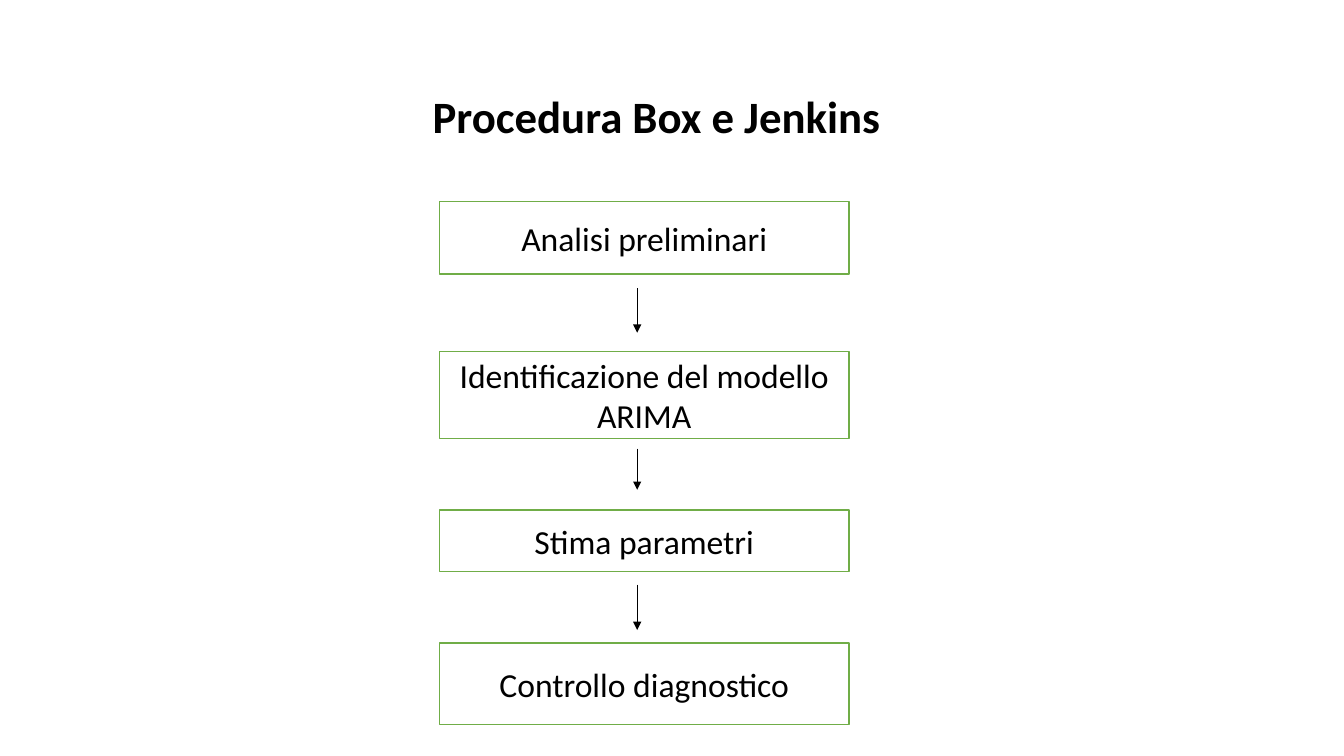
from dataclasses import dataclass

from lxml.etree import SubElement
from pptx import Presentation
from pptx.dml.color import RGBColor
from pptx.enum.shapes import MSO_CONNECTOR, MSO_SHAPE
from pptx.enum.text import MSO_ANCHOR, MSO_AUTO_SIZE, PP_ALIGN
from pptx.oxml.ns import qn
from pptx.slide import Slide
from pptx.util import Inches, Pt

BLACK = RGBColor(0x00, 0x00, 0x00)
WHITE = RGBColor(0xFF, 0xFF, 0xFF)
GREEN = RGBColor(0x70, 0xAD, 0x47)
FONT = "Calibri"

STEP_LEFT = 4.36
STEP_WIDTH = 4.06
ARROW_X = 6.32


@dataclass(frozen=True)
class Step:
    label: str
    top: float
    height: float


@dataclass(frozen=True)
class Arrow:
    start: float
    end: float


STEPS = [
    Step("Analisi preliminari", 2.0, 0.72),
    Step("Identificazione del modello ARIMA", 3.49, 0.86),
    Step("Stima parametri", 5.06, 0.61),
    Step("Controllo diagnostico", 6.38, 0.81),
]
ARROWS = [Arrow(2.86, 3.3), Arrow(4.45, 4.86), Arrow(5.8, 6.25)]


def format_title(slide: Slide, text: str) -> None:
    title = slide.shapes.title
    title.left, title.top = Inches(4.19), Inches(0.83)
    title.width, title.height = Inches(4.7), Inches(0.64)
    frame = title.text_frame
    frame.text = text
    frame.word_wrap = True
    frame.auto_size = MSO_AUTO_SIZE.SHAPE_TO_FIT_TEXT
    frame.vertical_anchor = MSO_ANCHOR.TOP
    heading = frame.paragraphs[0]
    heading.alignment = PP_ALIGN.LEFT
    heading.font.name = FONT
    heading.font.size = Pt(32)
    heading.font.bold = True
    heading.font.color.rgb = BLACK


def draw_step(slide: Slide, step: Step) -> None:
    box = slide.shapes.add_shape(
        MSO_SHAPE.RECTANGLE,
        Inches(STEP_LEFT), Inches(step.top),
        Inches(STEP_WIDTH), Inches(step.height),
    )
    box.shadow.inherit = False
    box.fill.solid()
    box.fill.fore_color.rgb = WHITE
    box.line.color.rgb = GREEN
    box.line.width = Pt(1)
    frame = box.text_frame
    frame.text = step.label
    frame.word_wrap = True
    frame.vertical_anchor = MSO_ANCHOR.MIDDLE
    label = frame.paragraphs[0]
    label.alignment = PP_ALIGN.CENTER
    label.font.name = FONT
    label.font.size = Pt(24)
    label.font.color.rgb = BLACK


def draw_arrow(slide: Slide, arrow: Arrow) -> None:
    connector = slide.shapes.add_connector(
        MSO_CONNECTOR.STRAIGHT,
        Inches(ARROW_X), Inches(arrow.start),
        Inches(ARROW_X), Inches(arrow.end),
    )
    connector.line.color.rgb = BLACK
    connector.line.width = Pt(0.5)
    SubElement(connector.line._get_or_add_ln(), qn("a:tailEnd"), type="triangle")
    SubElement(connector._element.spPr, qn("a:effectLst"))


def main() -> None:
    presentation = Presentation()
    presentation.slide_width = Inches(13.33)
    presentation.slide_height = Inches(7.5)
    slide = presentation.slides.add_slide(presentation.slide_layouts[5])

    format_title(slide, "Procedura Box e Jenkins")
    for step in STEPS:
        draw_step(slide, step)
    for arrow in ARROWS:
        draw_arrow(slide, arrow)

    presentation.save("out.pptx")


if __name__ == "__main__":
    main()
